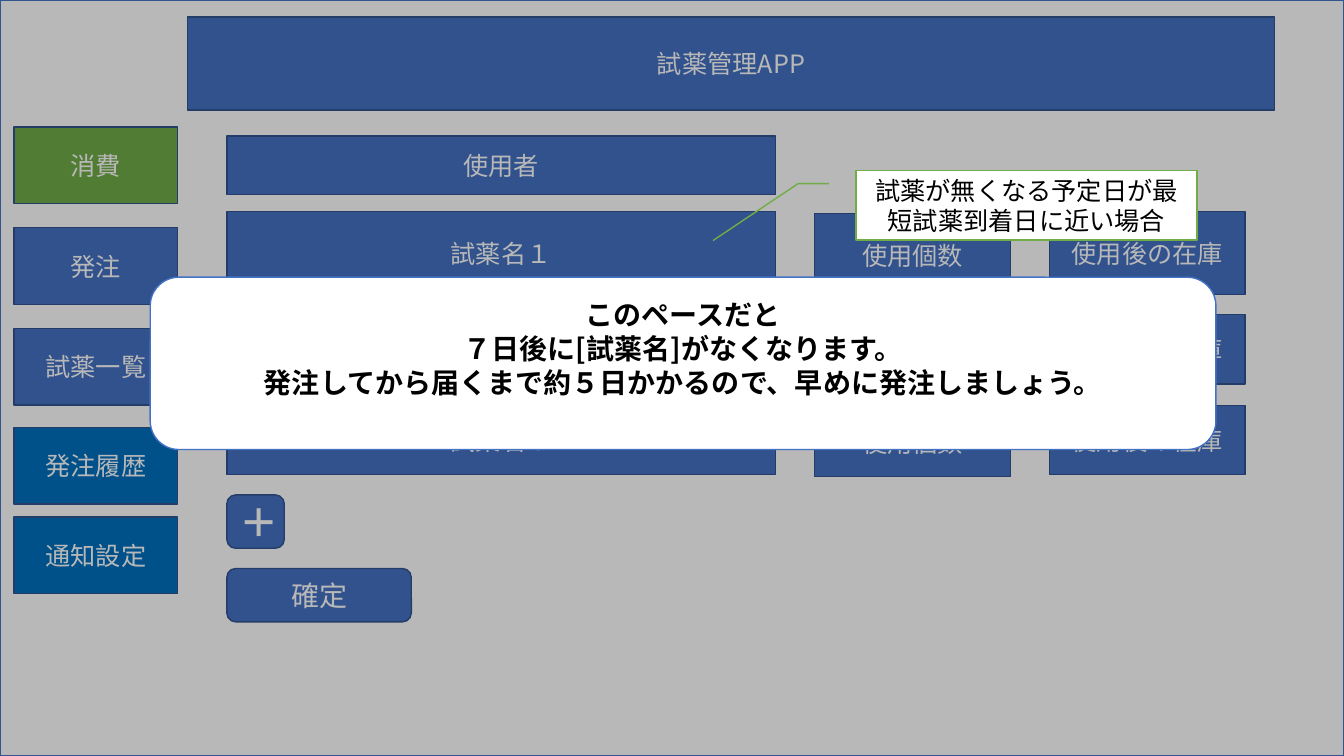
from pptx import Presentation
from pptx.dml.color import RGBColor
from pptx.enum.shapes import MSO_SHAPE as Kind
from pptx.enum.text import MSO_ANCHOR as Anchor, MSO_AUTO_SIZE as AutoSize, PP_ALIGN as Align
from pptx.oxml.ns import qn
from pptx.util import Inches, Pt
from lxml.etree import SubElement

BLUE = RGBColor(0x44, 0x72, 0xC4)
NAVY = RGBColor(0x32, 0x54, 0x91)
DEEP_BLUE = RGBColor(0x00, 0x70, 0xC0)
GREEN = RGBColor(0x70, 0xAD, 0x47)
WHITE = RGBColor(0xFF, 0xFF, 0xFF)
BLACK = RGBColor(0x00, 0x00, 0x00)
FONT = "Noto Sans CJK JP"


def write_text(shape, text, size=18, color=WHITE, bold=False, bottom=0.05):
    frame = shape.text_frame
    frame.text = text
    frame.word_wrap = True
    frame.auto_size = AutoSize.NONE
    frame.vertical_anchor = Anchor.MIDDLE
    frame.margin_left = frame.margin_right = Inches(0.1)
    frame.margin_top, frame.margin_bottom = Inches(0.05), Inches(bottom)
    for paragraph in frame.paragraphs:
        paragraph.alignment = Align.CENTER
        for run in paragraph.runs:
            font = run.font
            font.name, font.size, font.bold = FONT, Pt(size), bold
            font.color.rgb = color
            SubElement(run._r.get_or_add_rPr(), qn("a:ea"), typeface=FONT)


class Screen:
    def __init__(self, presentation):
        self.slide = presentation.slides.add_slide(presentation.slide_layouts[5])

    def paint(self, shape, fill, line):
        shape.fill.solid()
        shape.fill.fore_color.rgb = fill
        shape.line.color.rgb = line
        shape.line.width = Pt(1)

    def title(self, text, left, top, width, height):
        shape = self.slide.shapes.title
        shape.left, shape.top = Inches(left), Inches(top)
        shape.width, shape.height = Inches(width), Inches(height)
        self.paint(shape, BLUE, NAVY)
        write_text(shape, text)

    def box(self, text, left, top, width, height, kind=Kind.RECTANGLE,
            fill=BLUE, line=NAVY, **text_format):
        shape = self.slide.shapes.add_shape(
            kind, Inches(left), Inches(top), Inches(width), Inches(height))
        shape.shadow.inherit = False
        self.paint(shape, fill, line)
        if text:
            write_text(shape, text, **text_format)
        return shape

    def button(self, text, left, top, width, height, **style):
        return self.box(text, left, top, width, height,
                        kind=Kind.ROUNDED_RECTANGLE, **style)

    def overlay(self, width, height, opacity):
        shape = self.box("", 0, 0, width, height, fill=BLACK)
        color = shape._element.spPr.find(qn("a:solidFill"))[0]
        SubElement(color, qn("a:alpha"), val=str(opacity * 1000))

    def callout(self, text, left, top, width, height, pointer):
        shape = self.box(text, left, top, width, height, kind=Kind.LINE_CALLOUT_2,
                         fill=WHITE, line=GREEN, color=BLACK)
        for index, value in enumerate(pointer):
            shape.adjustments[index] = value


presentation = Presentation()
presentation.slide_width, presentation.slide_height = Inches(13.33), Inches(7.5)
screen = Screen(presentation)

screen.title("試薬管理APP", 1.86, 0.17, 10.78, 0.92)

MENU = [
    ("消費", 1.26, GREEN),
    ("発注", 2.26, BLUE),
    ("試薬一覧", 3.26, BLUE),
    ("発注履歴", 4.24, DEEP_BLUE),
    ("通知設定", 5.13, DEEP_BLUE),
]
for label, top, fill in MENU:
    screen.box(label, 0.14, top, 1.62, 0.76, fill=fill)

FORM_LEFT, FORM_WIDTH = 2.25, 5.44
STOCK_LEFT, FIELD_WIDTH = 10.41, 1.94
screen.box("使用者", FORM_LEFT, 1.35, FORM_WIDTH, 0.58)
for reagent, top, height in [("試薬名１", 2.1, 0.82), ("試薬名３", 4.02, 0.69)]:
    screen.box(reagent, FORM_LEFT, top, FORM_WIDTH, height)
    screen.box("使用個数", 8.08, top + 0.02, FIELD_WIDTH, height)
for top, height in [(2.1, 0.82), (3.12, 0.69), (4.02, 0.69)]:
    screen.box("使用後の在庫", STOCK_LEFT, top, FIELD_WIDTH, height)

screen.button("＋", FORM_LEFT, 4.91, 0.57, 0.53, size=28, bold=True)
screen.button("確定", FORM_LEFT, 5.64, 1.83, 0.53, size=20)

screen.overlay(13.33, 7.5, 28)
screen.button(
    "このペースだと\n７日後に[試薬名]がなくなります。\n"
    "発注してから届くまで約５日かかるので、早めに発注しましょう。",
    1.49, 2.75, 10.57, 1.71, fill=WHITE, line=BLUE,
    size=20, color=BLACK, bold=True, bottom=0.35)
screen.callout("試薬が無くなる予定日が最短試薬到着日に近い場合", 8.49, 1.69, 3.38, 0.69,
               pointer=(0.19, -0.08, 0.19, -0.17, 1.01, -0.42))

presentation.save("out.pptx")
